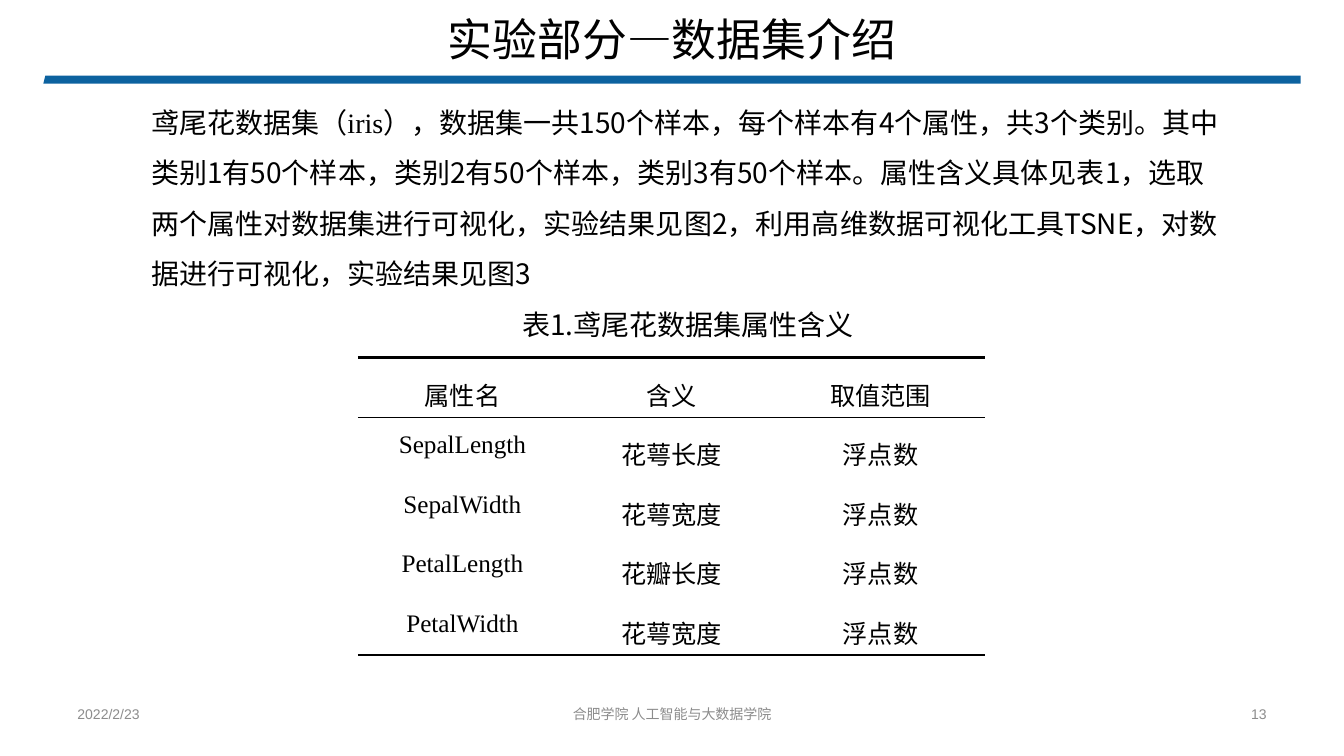
from lxml.etree import SubElement as Sub
from pptx import Presentation
from pptx.dml.color import RGBColor as RGB
from pptx.enum.text import MSO_ANCHOR as Anchor, MSO_AUTO_SIZE as Auto, PP_ALIGN as Align
from pptx.oxml.ns import qn
from pptx.util import Inches, Pt

BLACK = RGB(0x00, 0x00, 0x00)
WHITE = RGB(0xFF, 0xFF, 0xFF)
GRAY = RGB(0x8C, 0x8C, 0x8C)
BLUE = RGB(0x03, 0x5C, 0x9C)
HAN = "Noto Sans CJK SC"
ROMAN = "Times New Roman"
ARIAL = "Arial"


class Page:
    """Holds the slide and its shared text style."""

    def __init__(self, slide):
        self.slide = slide
        self.shapes = slide.shapes

    def fill_para(self, para, runs, size, color=BLACK, **form):
        for name, value in form.items():
            setattr(para, name, value)
        for text, face in runs:
            run = para.add_run()
            run.text = text
            for name, value in {"name": face, "size": Pt(size)}.items():
                setattr(run.font, name, value)
            run.font.color.rgb = color
            Sub(run._r.get_or_add_rPr(), qn("a:ea"), typeface=HAN)

    def text(self, place, paras, size, color=BLACK, indent=0, **form):
        frame = self.shapes.add_textbox(*map(Inches, place)).text_frame
        for name, value in ({"word_wrap": True} | form).items():
            setattr(frame, name, value)
        for i, (runs, style) in enumerate(paras):
            para = frame.add_paragraph() if i else frame.paragraphs[0]
            self.fill_para(para, runs, size, color, **style)
            if indent:
                props = para._p.get_or_add_pPr()
                props.set("marL", str(Inches(indent)))
                props.set("indent", "0")

    def band(self, points, color, alpha):
        start, *rest = [(Inches(x), Inches(y)) for x, y in points]
        build = self.shapes.build_freeform(*start)
        build.add_line_segments(rest, close=True)
        shape = build.convert_to_shape()
        shape.shadow.inherit = False
        shape.line.fill.background()
        shape.fill.solid()
        shape.fill.fore_color.rgb = color
        tint = next(shape._element.spPr.iter(qn("a:srgbClr")))
        Sub(tint, qn("a:alpha"), val=str(alpha * 1000))

    def edge(self, cell, side, width):
        props = cell._tc.get_or_add_tcPr()
        line = Sub(props, qn(f"a:ln{side}"), w=str(Pt(width)))
        if width:
            fill = Sub(line, qn("a:solidFill"))
            Sub(fill, qn("a:srgbClr"), val=str(BLACK))
        else:
            Sub(line, qn("a:noFill"))

    def table(self, place, rows, size, rules):
        """Rules give the line width above each row, then below the last."""
        grid = self.shapes.add_table(len(rows), len(rows[0]), *map(Inches, place)).table
        grid.first_row = grid.horz_banding = False
        form = {"margin_left": Inches(0.07), "margin_right": Inches(0.07),
                "margin_top": 0, "margin_bottom": 0}
        for r, row in enumerate(rows):
            for c, word in enumerate(row):
                cell = grid.cell(r, c)
                for name, value in form.items():
                    setattr(cell, name, value)
                for side, width in zip("LRTB", (0, 0, rules[r], rules[r + 1])):
                    self.edge(cell, side, width)
                cell.fill.solid()
                cell.fill.fore_color.rgb = WHITE
                face = ROMAN if word.isascii() else HAN
                self.fill_para(cell.text_frame.paragraphs[0], [(word, face)], size,
                               alignment=Align.CENTER, line_spacing=1.5)


deck = Presentation()
deck.slide_width, deck.slide_height = Inches(13.33), Inches(7.5)
page = Page(deck.slides.add_slide(deck.slide_layouts[6]))

# Title and rule
page.band([(0.43, 0.83), (12.9, 0.83), (12.9, 0.75), (0.45, 0.75)], BLUE, 96)
title = [("实验部分", ROMAN), ("—数据集介绍", HAN)]
page.text((4.32, 0.07, 4.69, 0.64), [(title, {"alignment": Align.CENTER})], 32,
          word_wrap=False, auto_size=Auto.SHAPE_TO_FIT_TEXT)

# Footer
for left, width, align, word in [
    (0.67, 2.95, Align.LEFT, "2022/2/23"),
    (9.71, 2.95, Align.RIGHT, "13"),
    (4.5, 4.33, Align.CENTER, "合肥学院 人工智能与大数据学院"),
]:
    page.text((left, 6.91, width, 0.35), [([(word, ARIAL)], {"alignment": align})],
              10, GRAY, vertical_anchor=Anchor.MIDDLE)

# Body text and table caption
body = [
    ("鸢尾花数据集（", HAN),
    ("iris", ROMAN),
    ("），数据集一共150个样本，每个样本有4个属性，共3个类别。"
     "其中类别1有50个样本，类别2有50个样本，类别3有50个样本。"
     "属性含义具体见表1，选取两个属性对数据集进行可视化，实验结果见图2，"
     "利用高维数据可视化工具TSNE，对数据进行可视化，实验结果见图3", HAN),
]
label = [("表1.鸢尾花数据集属性含义", HAN)]
page.text((1.09, 0.83, 11.16, 2.55),
          [(body, {"line_spacing": 1.5}),
           (label, {"line_spacing": 1.5, "alignment": Align.CENTER})],
          20, indent=0.31, auto_size=Auto.SHAPE_TO_FIT_TEXT)

# Table of features
traits = [("SepalLength", "花萼长度"), ("SepalWidth", "花萼宽度"),
          ("PetalLength", "花瓣长度"), ("PetalWidth", "花萼宽度")]
rows = [("属性名", "含义", "取值范围")] + [(*pair, "浮点数") for pair in traits]
page.table((3.55, 3.55, 6.22, 2.95), rows, 18, rules=(2.25, 1, 0, 0, 0, 2.25))

deck.save("out.pptx")
